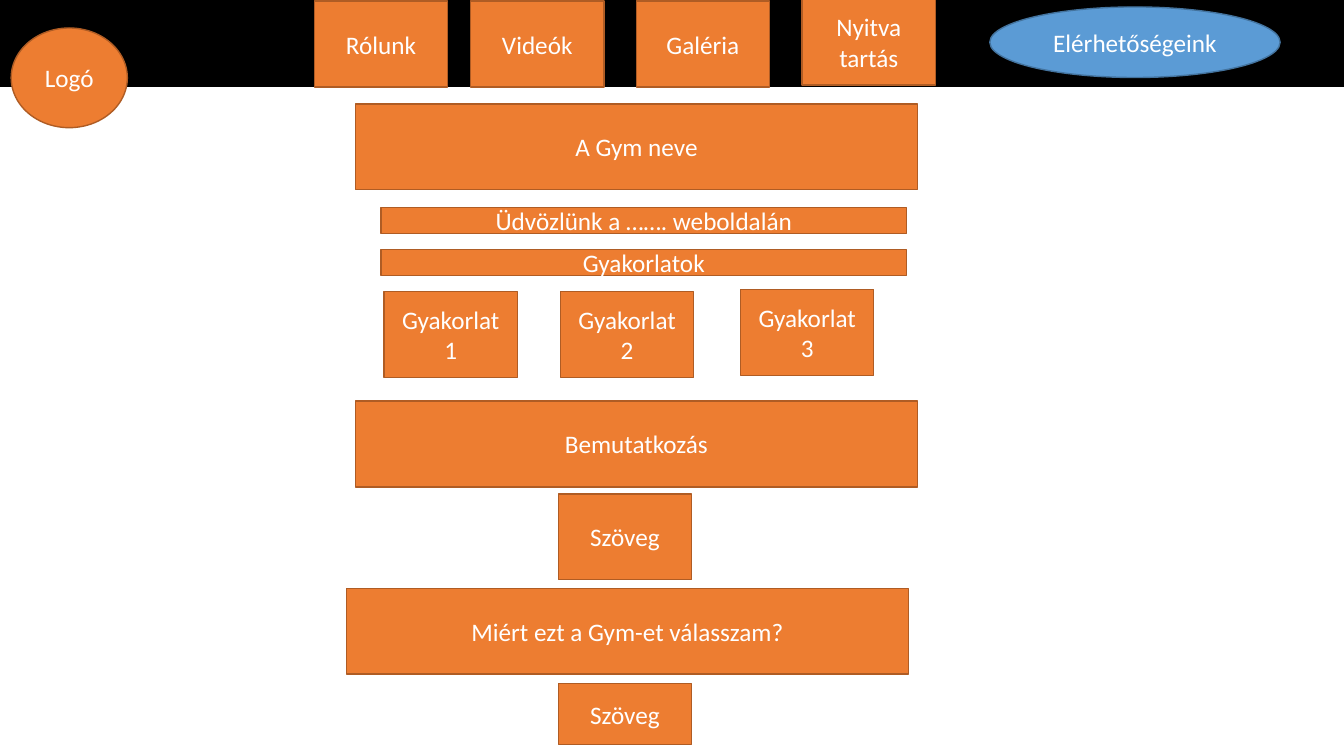
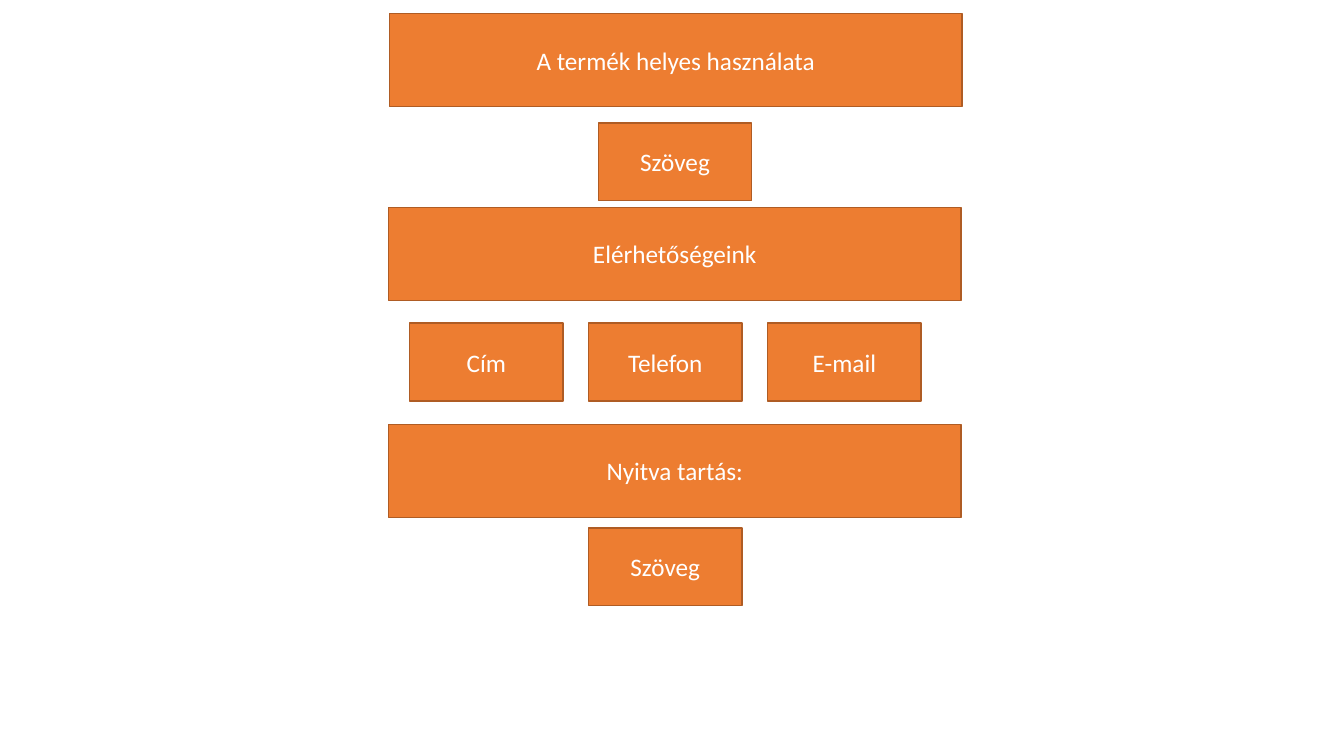
from collections import namedtuple
from dataclasses import dataclass

from pptx import Presentation
from pptx.dml.color import RGBColor
from pptx.enum.shapes import MSO_SHAPE
from pptx.enum.text import MSO_ANCHOR, PP_ALIGN
from pptx.util import Pt

RECT, OVAL = MSO_SHAPE.RECTANGLE, MSO_SHAPE.OVAL
MIDDLE, CENTER = MSO_ANCHOR.MIDDLE, PP_ALIGN.CENTER
BLANK = 6

Box = namedtuple("Box", "x y w h")
Size = namedtuple("Size", "w h")
Paint = namedtuple("Paint", "fill line")


@dataclass(frozen=True)
class Theme:
    font: str = "Calibri"
    size: float = 18
    rule: float = 1
    text: str = "FFFFFF"
    block: Paint = Paint("ED7D31", "AF5C24")
    link: Paint = Paint("5B9BD5", "43739E")
    bar: Paint = Paint("000000", "000000")


THEME = Theme()


def add_block(slide, box, text="", kind=RECT, paint=THEME.block):
    """Draw one filled shape with a centred label."""
    shape = slide.shapes.add_shape(kind, *map(Pt, box))
    shape.shadow.inherit = False
    shape.fill.solid()
    shape.fill.fore_color.rgb = RGBColor.from_string(paint.fill)
    shape.line.color.rgb = RGBColor.from_string(paint.line)
    shape.line.width = Pt(THEME.rule)
    if not text:
        return
    frame = shape.text_frame
    frame.word_wrap = True
    frame.vertical_anchor = MIDDLE
    para = frame.paragraphs[0]
    para.alignment = CENTER
    run = para.add_run()
    run.text = text
    run.font.name = THEME.font
    run.font.size = Pt(THEME.size)
    run.font.color.rgb = RGBColor.from_string(THEME.text)


def add_parts(slide, box, size, parts):
    """Draw blocks of one size at offsets from the corner of the box."""
    for text, dx, dy in parts:
        add_block(slide, Box(box.x + dx, box.y + dy, *size), text)


def add_header(slide, box, cell):
    add_block(slide, box, paint=THEME.bar)
    # Menu
    add_parts(slide, box, cell, [
        ("Rólunk", 224.6, 0.7),
        ("Videók", 336.2, 0.7),
        ("Galéria", 454.5, 0.7),
        ("Nyitva tartás", 573, -0.7),
    ])
    # Contact link and logo spot
    add_block(slide, Box(box.x + 707, box.y + 5, 207.4, 50.4),
              "Elérhetőségeink", OVAL, THEME.link)
    add_block(slide, Box(box.x + 8, box.y + 20, 83, 71.2), "Logó", OVAL)


def add_home(slide, box, cell):
    # Section bands
    add_parts(slide, box, Size(box.w, cell.h), [
        ("A Gym neve", 0, 0),
        ("Bemutatkozás", 0, 212.2),
        ("Miért ezt a Gym-et válasszam?", -6.4, 346),
    ])
    # Thin strips
    add_parts(slide, box, Size(375.4, 18.6), [
        ("Üdvözlünk a ……. weboldalán", 18.2, 74.2),
        ("Gyakorlatok", 18.2, 104.2),
    ])
    # Exercises and first text
    add_parts(slide, box, cell, [
        ("Gyakorlat 1", 20.4, 134.2),
        ("Gyakorlat 2", 146.4, 134.2),
        ("Gyakorlat 3", 275, 132.6),
        ("Szöveg", 144.8, 278.6),
    ])
    # Last text
    add_parts(slide, box, Size(cell.w, 43.6), [("Szöveg", 144.8, 414)])


def add_info(slide, box, cell):
    # Section bands
    add_parts(slide, box, Size(box.w, 66.4), [
        ("A termék helyes használata", 0.7, 0),
        ("Elérhetőségeink", 0, 138.4),
        ("Nyitva tartás:", 0, 293.4),
    ])
    # Texts
    add_parts(slide, box, cell, [
        ("Szöveg", 150, 78),
        ("Szöveg", 143, 367.2),
    ])
    # Contact row
    left, top, pitch = 15.2, 221, 127.9
    labels = ["Cím", "Telefon", "E-mail"]
    add_parts(slide, box, cell, [(text, left + i * pitch, top)
                                 for i, text in enumerate(labels)])


def main():
    deck = Presentation()
    deck.slide_width, deck.slide_height = Pt(960), Pt(540)
    layout = deck.slide_layouts[BLANK]

    home = deck.slides.add_slide(layout)
    cell = Size(95.2, 61.4)
    add_header(home, Box(0, 0, 960, 61.4), cell)
    add_home(home, Box(254, 74.2, 401.2, 457.6), cell)

    info = deck.slides.add_slide(layout)
    add_info(info, Box(277.4, 9.8, 409.2, 423), Size(109.6, 55.6))

    deck.save("out.pptx")


main()
